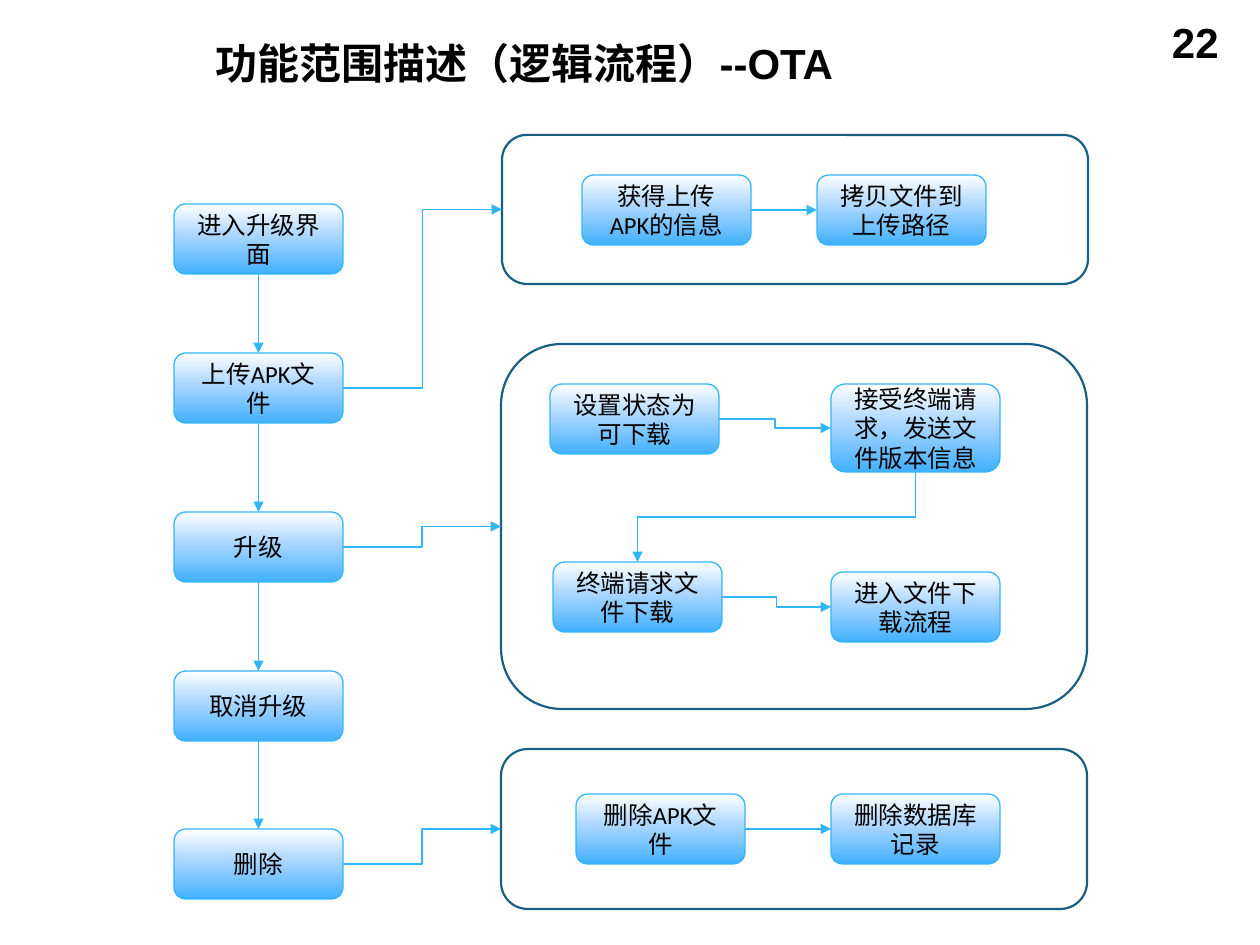
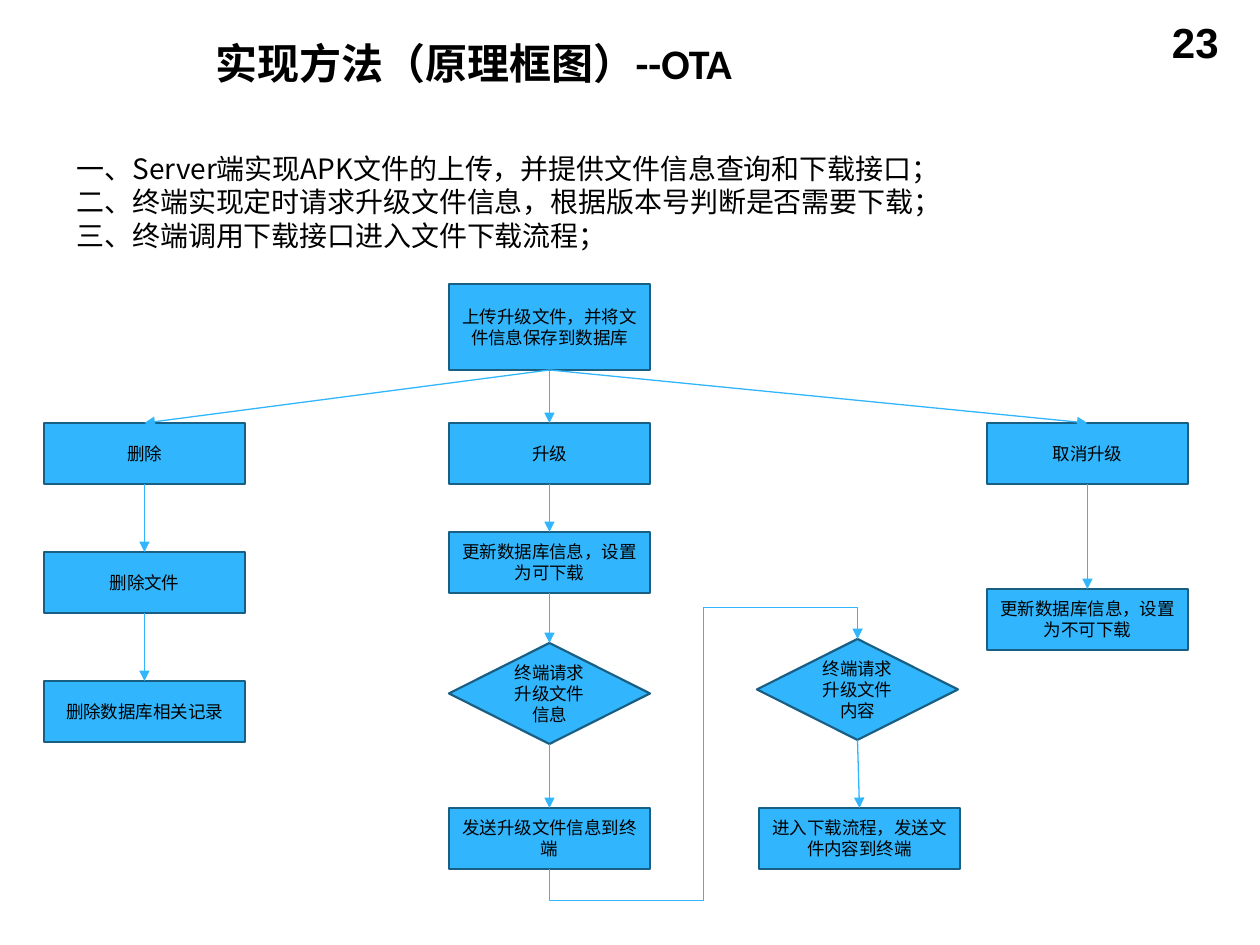
from copy import deepcopy
from dataclasses import dataclass

from lxml.etree import SubElement
from pptx import Presentation
from pptx.dml.color import RGBColor
from pptx.enum.shapes import MSO_CONNECTOR as Wire, MSO_SHAPE as Kind
from pptx.enum.text import MSO_ANCHOR as Anchor, MSO_AUTO_SIZE as Fit, PP_ALIGN as Align
from pptx.oxml.ns import qn
from pptx.util import Emu, Pt

EMU_PER_PX = 914400 / 126
TOP, LEFT, BOTTOM, RIGHT = range(4)


@dataclass(frozen=True)
class Theme:
    text: str = "000000"
    blue: str = "31B6FD"
    edge: str = "195F84"
    shading: tuple = ((0, "FFFFFF"), (0.44, "ACD7FF"), (1, "42B0FD"))
    heading_font: str = "Arial"
    label_font: str = "Calibri"
    chinese_font: str = "Noto Sans CJK SC"
    title_size: float = 24
    list_size: float = 16
    list_spacing: float = 19.2
    step_size: float = 14
    block_size: float = 10
    thin: float = 0.75
    thick: float = 1.25


THEME = Theme()


def px(length):
    return Emu(round(length * EMU_PER_PX))


def rgb(code):
    return RGBColor.from_string(code)


# Text
def format_text(frame, font, size, align, bold=False):
    for para in frame.paragraphs:
        para.alignment = align
        for span in para.runs:
            span.font.name = font
            span.font.size = Pt(size)
            span.font.bold = bold
            span.font.color.rgb = rgb(THEME.text)
            SubElement(span.font._element, qn("a:ea"), typeface=THEME.chinese_font)


def place(shape, left, top, width, height):
    shape.left, shape.top = px(left), px(top)
    shape.width, shape.height = px(width), px(height)


def add_page(deck, layout, title, number, title_font):
    page = deck.slides.add_slide(deck.slide_layouts.get_by_name(layout))
    place(page.shapes.title, 203, 28, 1032, 69)
    frame = page.shapes.title.text_frame
    frame.text = title
    frame.auto_size = Fit.NONE
    frame.vertical_anchor = Anchor.MIDDLE
    format_text(frame, title_font, THEME.title_size, Align.LEFT, bold=True)

    box = page.shapes.add_textbox(px(937), px(10), px(294), px(66))
    box.text_frame.word_wrap = True
    box.text_frame.text = str(number)
    format_text(box.text_frame, THEME.heading_font, THEME.title_size, Align.RIGHT, bold=True)
    return page


def fill_list(body, lines):
    place(body, 64, 145, 1150, 130)
    frame = body.text_frame
    frame.text = "\n".join(lines)
    frame.auto_size = Fit.NONE
    frame.vertical_anchor = Anchor.TOP
    for para in frame.paragraphs:
        props = para._p.get_or_add_pPr()
        props.set("marL", "0")
        props.set("indent", "0")
        SubElement(props, qn("a:buNone"))
        para.space_before = Pt(0)
        para.line_spacing = Pt(THEME.list_spacing)
    format_text(frame, THEME.chinese_font, THEME.list_size, Align.LEFT)


# Boxes
def add_box(page, kind, bounds, edge, weight):
    shape = page.shapes.add_shape(kind, *map(px, bounds))
    shape.shadow.inherit = False
    shape.fill.background()
    shape.line.color.rgb = rgb(edge)
    shape.line.width = Pt(weight)
    return shape


def set_label(shape, label, size):
    frame = shape.text_frame
    frame.word_wrap = True
    frame.vertical_anchor = Anchor.MIDDLE
    frame.text = label
    format_text(frame, THEME.label_font, size, Align.CENTER)


def add_frame(page, left, top, width, height):
    return add_box(page, Kind.FLOWCHART_ALTERNATE_PROCESS, (left, top, width, height),
                   THEME.edge, THEME.thick)


def add_step(page, label, left, top, height=70):
    step = add_box(page, Kind.FLOWCHART_ALTERNATE_PROCESS, (left, top, 169, height),
                   THEME.blue, THEME.thin)
    step.fill.gradient()
    step.fill.gradient_angle = 270
    stops = step.element.spPr.find(".//" + qn("a:gsLst"))
    stops.insert(1, deepcopy(stops[0]))
    for stop, (position, color) in zip(step.fill.gradient_stops, THEME.shading):
        stop.position = position
        stop.color.rgb = rgb(color)
    set_label(step, label, THEME.step_size)
    return step


def add_block(page, label, left, top, height=61, kind=Kind.FLOWCHART_PROCESS):
    block = add_box(page, kind, (left, top, 201, height), THEME.edge, THEME.thick)
    block.fill.solid()
    block.fill.fore_color.rgb = rgb(THEME.blue)
    set_label(block, label, THEME.block_size)
    return block


def add_decision(page, label, left, top):
    return add_block(page, label, left, top, 101, Kind.DIAMOND)


# Arrows
def add_arrow(page, start, end, sides=(BOTTOM, TOP), wire=Wire.STRAIGHT):
    arrow = page.shapes.add_connector(wire, 0, 0, 0, 0)
    arrow.begin_connect(start, sides[0])
    arrow.end_connect(end, sides[1])
    arrow.line.color.rgb = rgb(THEME.blue)
    arrow.line.width = Pt(THEME.thin)
    SubElement(arrow.line._get_or_add_ln(), qn("a:tailEnd"), type="triangle")
    SubElement(arrow.element.spPr, qn("a:effectLst"))
    return arrow


def add_side_arrow(page, start, end, wire=Wire.ELBOW):
    return add_arrow(page, start, end, (RIGHT, LEFT), wire)


def add_vertical_bend(page, start, end, adjustments=()):
    """Bent arrow that leaves downwards: a horizontal one turned by 90 degrees."""
    arrow = add_arrow(page, start, end, wire=Wire.ELBOW)
    across = arrow.end_x - arrow.begin_x
    down = arrow.end_y - arrow.begin_y
    middle_x = (arrow.begin_x + arrow.end_x) // 2
    middle_y = (arrow.begin_y + arrow.end_y) // 2
    arrow.width, arrow.height = abs(down), abs(across)
    arrow.left = middle_x - arrow.width // 2
    arrow.top = middle_y - arrow.height // 2
    turn = arrow.element.spPr.find(qn("a:xfrm"))
    turn.set("rot", str(90 * 60000))
    turn.set("flipH", str(int(down < 0)))
    turn.set("flipV", str(int(across > 0)))
    if adjustments:
        outline = arrow.element.spPr.find(qn("a:prstGeom"))
        outline.set("prst", f"bentConnector{len(adjustments) + 2}")
        values = outline.find(qn("a:avLst"))
        for index, value in enumerate(adjustments, 1):
            SubElement(values, qn("a:gd"), name=f"adj{index}", fmla=f"val {value}")


def add_chain(page, shapes):
    for start, end in zip(shapes, shapes[1:]):
        add_arrow(page, start, end)


# Slides
def build_logic_flow(deck):
    page = add_page(deck, "Title Only", "功能范围描述（逻辑流程）--OTA", 22, THEME.heading_font)

    # Main column
    labels = ("进入升级界面", "上传APK文件", "升级", "取消升级", "删除")
    tops = (204, 353, 512, 671, 829)
    column = [add_step(page, label, 174, top) for label, top in zip(labels, tops)]
    add_chain(page, column)
    _, upload, upgrade, _, delete = column

    # Detail frames
    frames = (
        (upload, (502, 135, 586, 149)),
        (upgrade, (501, 344, 586, 365)),
        (delete, (501, 749, 586, 160)),
    )
    for step, bounds in frames:
        add_side_arrow(page, step, add_frame(page, *bounds))

    # Upload and delete details
    pairs = (
        (("获得上传APK的信息", 582, 175), ("拷贝文件到上传路径", 817, 175)),
        (("删除APK文件", 576, 794), ("删除数据库记录", 831, 794)),
    )
    for first, second in pairs:
        add_side_arrow(page, add_step(page, *first), add_step(page, *second), Wire.STRAIGHT)

    # Upgrade details
    ready = add_step(page, "设置状态为可下载", 550, 384)
    answer = add_step(page, "接受终端请求，发送文件版本信息", 831, 384, 88)
    request = add_step(page, "终端请求文件下载", 553, 562)
    download = add_step(page, "进入文件下载流程", 831, 572)
    add_side_arrow(page, ready, answer)
    add_vertical_bend(page, answer, request)
    add_side_arrow(page, request, download)


def build_principle_diagram(deck):
    page = add_page(deck, "Title and Content", "实现方法（原理框图）--OTA", 23, THEME.label_font)
    fill_list(page.placeholders[1], (
        "一、Server端实现APK文件的上传，并提供文件信息查询和下载接口；",
        "二、终端实现定时请求升级文件信息，根据版本号判断是否需要下载；",
        "三、终端调用下载接口进入文件下载流程；",
    ))

    # Three branches below the upload
    upload = add_block(page, "上传升级文件，并将文件信息保存到数据库", 449, 284, 86)
    delete_labels = ("删除", "删除文件", "删除数据库相关记录")
    delete_branch = [add_block(page, label, 44, 423 + 129 * row)
                     for row, label in enumerate(delete_labels)]
    upgrade_branch = [
        add_block(page, "升级", 449, 423),
        add_block(page, "更新数据库信息，设置为可下载", 449, 532),
        add_decision(page, "终端请求升级文件信息", 449, 643),
        add_block(page, "发送升级文件信息到终端", 449, 808),
    ]
    cancel_branch = [
        add_block(page, "取消升级", 987, 423),
        add_block(page, "更新数据库信息，设置为不可下载", 987, 589),
    ]
    for branch in (delete_branch, upgrade_branch, cancel_branch):
        add_chain(page, [upload, *branch])

    # Download of the file content
    content = add_decision(page, "终端请求升级文件内容", 757, 639)
    download = add_block(page, "进入下载流程，发送文件内容到终端", 759, 808)
    add_vertical_bend(page, upgrade_branch[-1], content, (-13700, 50000, 113700))
    add_arrow(page, content, download)


def main():
    deck = Presentation()
    deck.slide_width, deck.slide_height = px(1260), px(945)
    build_logic_flow(deck)
    build_principle_diagram(deck)
    deck.save("out.pptx")


if __name__ == "__main__":
    main()
